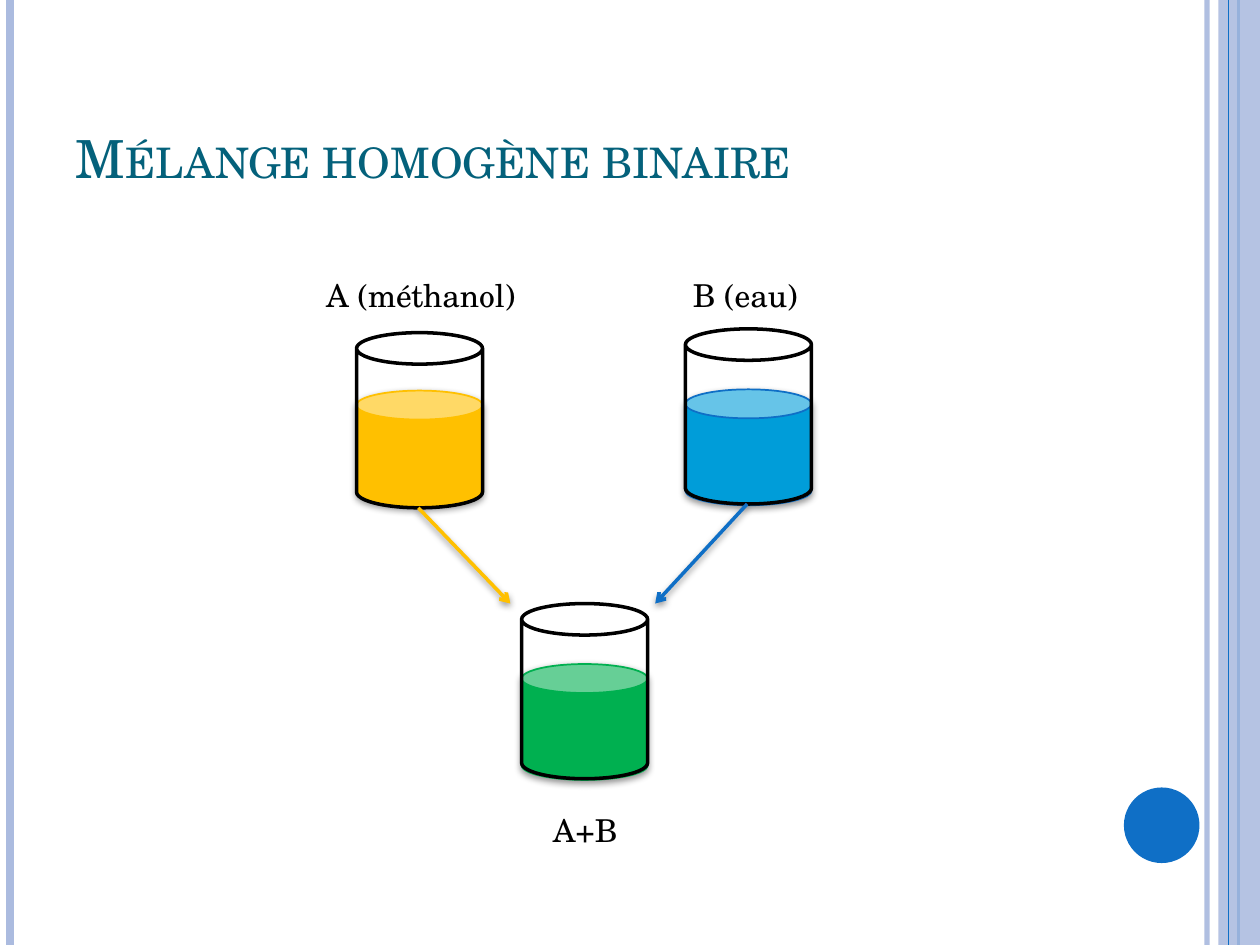
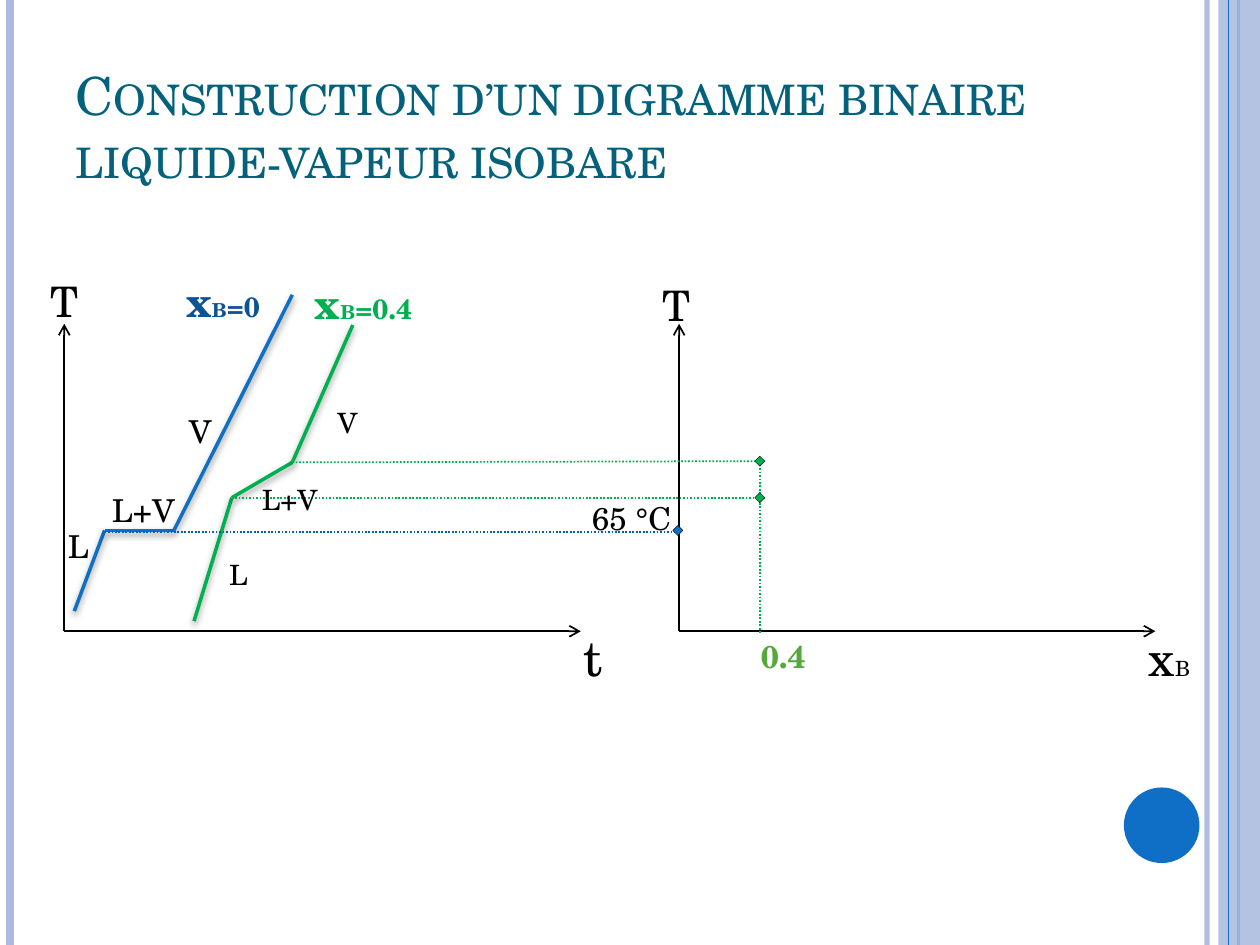
from dataclasses import dataclass
from itertools import pairwise
from typing import Any

from lxml import etree
from pptx import Presentation
from pptx import util as u
from pptx.dml.color import RGBColor
from pptx.enum import dml, shapes, text
from pptx.oxml.ns import qn

# Shared look
FONT = "TeX Gyre Schola"
COLORS = {
    "title": "04617B", "band": "ABBBDF", "blue": "0F6FC6", "navy": "0B5394",
    "dots": "0060B6", "water": "009DD9", "methanol": "FFC000",
    "green": "00B050", "leaf": "55A839", "black": "000000",
}
WIDTH, HEIGHT = u.Inches(10), u.Inches(7.5)
COLS, ROWS = 100, 75  # the grid on which every length is given
Point = tuple[float, float]


def x(cols: float) -> int:
    return round(WIDTH * cols / COLS)


def y(rows: float) -> int:
    return round(HEIGHT * rows / ROWS)


def rgb(name: str) -> RGBColor:
    return RGBColor.from_string(COLORS[name])


@dataclass(frozen=True)
class Shadow:
    blur: float
    dist: float
    alpha: int


CAN_SHADOW = Shadow(4, 1.6, 42)
LINE_SHADOW = Shadow(4, 2, 40)


@dataclass(frozen=True)
class Stroke:
    color: str
    width: float
    dotted: bool = False
    arrow: bool = False
    alpha: int = 100
    shadow: Shadow | None = None


@dataclass(frozen=True)
class Label:
    col: float
    row: float
    width: float
    height: float
    wordings: tuple[tuple[str, float], ...]  # wording and size of each run
    color: str = "black"
    bold: bool = False
    wrap: bool = False


@dataclass(frozen=True)
class Beaker:
    col: float
    row: float
    liquid: str
    edge: str
    surface: float  # rows from the rim down to the liquid
    label: Label


@dataclass(frozen=True)
class Curve:
    color: str
    points: tuple[Point, ...]


# Drawing helpers
def set_alpha(fill_parent: Any, percent: int) -> None:
    clr = fill_parent.find(".//" + qn("a:srgbClr"))
    etree.SubElement(clr, qn("a:alpha"), val=str(percent * 1000))


def set_effects(sp: Any, shadow: Shadow | None) -> None:
    effects = etree.SubElement(sp._element.spPr, qn("a:effectLst"))
    if shadow:
        outer = etree.SubElement(
            effects, qn("a:outerShdw"), blurRad=str(u.Pt(shadow.blur)),
            dist=str(u.Pt(shadow.dist)), dir="5400000", rotWithShape="0")
        clr = etree.SubElement(outer, qn("a:srgbClr"), val=COLORS["black"])
        etree.SubElement(clr, qn("a:alpha"), val=str(shadow.alpha * 1000))


def draw_line(parent: Any, start: Point, end: Point, stroke: Stroke) -> None:
    sp = parent.shapes.add_connector(
        shapes.MSO_CONNECTOR.STRAIGHT,
        x(start[0]), y(start[1]), x(end[0]), y(end[1]))
    sp.line.color.rgb = rgb(stroke.color)
    sp.line.width = u.Pt(stroke.width)
    if stroke.dotted:
        sp.line.dash_style = dml.MSO_LINE.ROUND_DOT
    ln = sp._element.spPr.find(qn("a:ln"))
    if stroke.alpha < 100:
        set_alpha(ln, stroke.alpha)
    if stroke.arrow:
        etree.SubElement(ln, qn("a:tailEnd"), type="arrow")
    set_effects(sp, stroke.shadow)


def draw_shape(parent: Any, kind: Any, box: tuple[float, float, float, float],
               fill: str | None, edge: Stroke | None = None,
               alpha: int = 100, shadow: Shadow | None = None) -> None:
    col, row, width, height = box
    sp = parent.shapes.add_shape(kind, x(col), y(row), x(width), y(height))
    if fill:
        sp.fill.solid()
        sp.fill.fore_color.rgb = rgb(fill)
        if alpha < 100:
            set_alpha(sp._element.spPr, alpha)
    else:
        sp.fill.background()
    if edge:
        sp.line.color.rgb = rgb(edge.color)
        sp.line.width = u.Pt(edge.width)
    else:
        sp.line.fill.background()
    set_effects(sp, shadow)


def draw_label(parent: Any, label: Label) -> None:
    sp = parent.shapes.add_textbox(
        x(label.col), y(label.row), x(label.width), y(label.height))
    tf = sp.text_frame
    tf.word_wrap = label.wrap
    p = tf.paragraphs[0]
    for wording, size in label.wordings:
        r = p.add_run()
        r.text = wording
        r.font.name, r.font.size, r.font.bold = FONT, u.Pt(size), label.bold
        r.font.color.rgb = rgb(label.color)


def draw_beaker(s: Any, beaker: Beaker) -> None:
    width, height = 10, 13.9
    grp = s.shapes.add_group_shape()
    can = shapes.MSO_SHAPE.CAN
    draw_shape(grp, can, (beaker.col, beaker.row + beaker.surface, width, 9.2),
               beaker.liquid, Stroke(beaker.edge, 1), shadow=CAN_SHADOW)
    draw_shape(grp, can, (beaker.col, beaker.row, width, height),
               None, Stroke("black", 2))
    draw_label(grp, beaker.label)


def draw_axes(s: Any, origin: Point, top: float, right: float) -> None:
    grp = s.shapes.add_group_shape()
    for end in ((origin[0], top), (right, origin[1])):
        draw_line(grp, origin, end, Stroke("black", 1, arrow=True))


def draw_curve(s: Any, curve: Curve) -> None:
    grp = s.shapes.add_group_shape()
    for start, end in pairwise(curve.points):
        draw_line(grp, start, end, Stroke(curve.color, 2, shadow=LINE_SHADOW))


# Frame and title shared by the slides
def prepare_layout(prs: Any) -> Any:
    layout = prs.slide_layouts.get_by_name("Title Only")
    sp = layout.placeholders[0]
    sp.left, sp.top, sp.width, sp.height = x(5), y(3), x(81.7), y(12.5)
    sp.text_frame.vertical_anchor = text.MSO_ANCHOR.BOTTOM
    sp.text_frame.auto_size = text.MSO_AUTO_SIZE.NONE
    return layout


def add_slide(prs: Any, layout: Any, title: str) -> Any:
    s = prs.slides.add_slide(layout)
    rules_behind = ((95.8, Stroke("band", 3, alpha=93)),
                    (0.8, Stroke("band", 4.5)), (98.3, Stroke("blue", 1.5)))
    for col, stroke in rules_behind:
        draw_line(s, (col, 0), (col, ROWS), stroke)
    draw_shape(s, shapes.MSO_SHAPE.RECTANGLE, (96.7, 0, 3.3, ROWS), "band", alpha=87)
    draw_line(s, (97.5, 0), (97.5, ROWS), Stroke("blue", 0.75))
    draw_shape(s, shapes.MSO_SHAPE.OVAL, (89.2, 62.5, 6, 6), "blue")

    tf = s.shapes.title.text_frame
    tf.text = title
    p = tf.paragraphs[0]
    p.alignment = text.PP_ALIGN.LEFT
    font = p.runs[0].font
    font.name, font.size = FONT, u.Pt(30)
    font.color.rgb = rgb("title")
    p.runs[0]._r.get_or_add_rPr().set("cap", "small")
    return s


# Slide 1: two liquids poured into one beaker
BEAKERS = (
    Beaker(28.3, 26.4, "methanol", "methanol", 4.6,
           Label(24.9, 21.4, 17.3, 4, (("A (méthanol)", 18),))),
    Beaker(54.4, 26.1, "water", "blue", 4.8,
           Label(54, 21.4, 10.4, 4, (("B (eau)", 18),))),
    Beaker(41.4, 47.9, "green", "green", 4.8,
           Label(42.9, 63.9, 7.2, 4, (("A+B", 18),))),
)
POURS = (("blue", (59.3, 40), (52, 47.9)),
         ("methanol", (33.2, 40.3), (40.5, 47.9)))


def build_mixture(prs: Any, layout: Any) -> None:
    s = add_slide(prs, layout, "Mélange homogène binaire")
    for beaker in BEAKERS:
        draw_beaker(s, beaker)
    for color, start, end in POURS:
        draw_line(s, start, end, Stroke(color, 2, arrow=True, shadow=LINE_SHADOW))


# Slide 2: heating curves carried over to the binary diagram
BASE, AXIS_TOP = 50.1, 25.7
TIME_ORIGIN, X_ORIGIN, MIX_COL = 5.1, 53.9, 60.3
PURE = Curve("blue", ((5.9, 48.5), (8.3, 42.1), (13.8, 42.1), (23.2, 23.4)))
MIX = Curve("green", ((15.4, 49.3), (18.4, 39.5), (23.2, 36.7), (28, 25.8)))
GUIDES = (
    ("dots", (8.3, 42.2), (X_ORIGIN, 42.2)),
    ("green", MIX.points[1], (60.7, 39.5)),
    ("green", MIX.points[2], (MIX_COL, 36.6)),
    ("green", (MIX_COL, 36.6), (MIX_COL, 50.3)),
)
MARKERS = (("blue", 53.8, 42.1), ("green", MIX_COL, 39.5), ("green", MIX_COL, 36.6))
MARKER_SIZE = 0.8
DIAGRAM_LABELS = (
    # Axes
    Label(3, 21.4, 3.1, 5, (("T", 24),), wrap=True),
    Label(45.3, 49.3, 2.4, 5.7, (("t", 28),), wrap=True),
    Label(51.6, 21.7, 3.1, 5, (("T", 24),), wrap=True),
    Label(90.2, 49.3, 5.3, 5.7, (("x", 28), ("B", 12))),
    # Compositions and boiling point
    Label(13.8, 21.4, 7.9, 5, (("x", 24), ("B", 11), ("=0", 16)), "navy", True),
    Label(24, 21.5, 9.9, 5, (("x", 24), ("B", 11), ("=0.4", 16)), "green", True),
    Label(59.4, 50.1, 5.6, 4, (("0.4", 18),), "leaf", True),
    Label(46, 39.1, 8.4, 4, (("65 °C", 18),)),
    # Phases along the pure curve
    Label(4.4, 41.3, 3.7, 4, (("L", 18),)),
    Label(7.9, 38.5, 7.1, 4, (("L+V", 18),)),
    Label(14, 32.2, 3.8, 4, (("V", 18),)),
    # Phases along the mixture curve
    Label(17.2, 43.8, 3.5, 3.7, (("L", 16),)),
    Label(19.8, 37.8, 6.5, 3.7, (("L+V", 16),)),
    Label(25.8, 31.7, 3.6, 3.7, (("V", 16),)),
)


def build_diagram(prs: Any, layout: Any) -> None:
    s = add_slide(prs, layout,
                  "Construction d’un digramme binaire liquide-vapeur isobare")
    for origin, right in ((TIME_ORIGIN, 46.1), (X_ORIGIN, 91.7)):
        draw_axes(s, (origin, BASE), AXIS_TOP, right)
    for curve in (PURE, MIX):
        draw_curve(s, curve)
    for color, start, end in GUIDES:
        draw_line(s, start, end, Stroke(color, 1, dotted=True))
    for color, col, row in MARKERS:
        box = (col - MARKER_SIZE / 2, row - MARKER_SIZE / 2, MARKER_SIZE, MARKER_SIZE)
        draw_shape(s, shapes.MSO_SHAPE.DIAMOND, box, color, Stroke("black", 0.25))
    for label in DIAGRAM_LABELS:
        draw_label(s, label)


def main() -> None:
    prs = Presentation()
    prs.slide_width, prs.slide_height = WIDTH, HEIGHT
    layout = prepare_layout(prs)
    build_mixture(prs, layout)
    build_diagram(prs, layout)
    prs.save("out.pptx")


if __name__ == "__main__":
    main()
